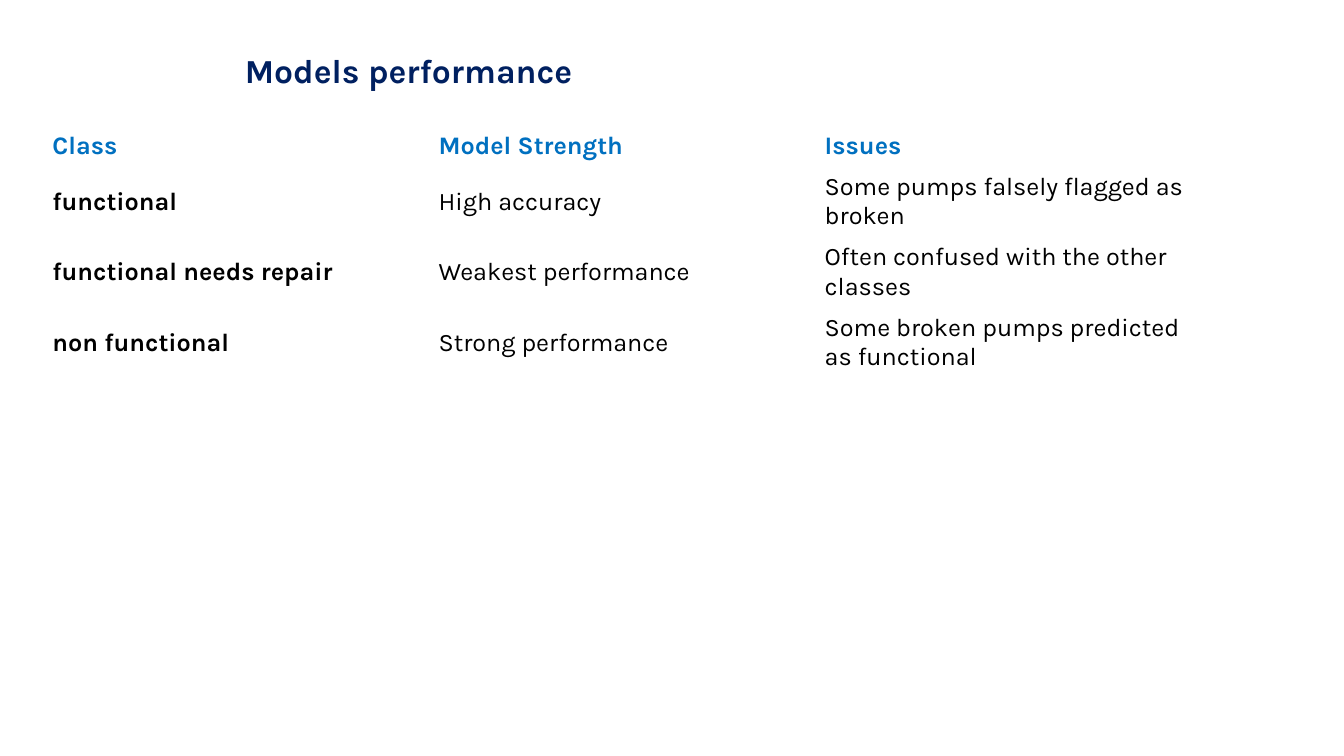
from pptx import Presentation, util as u
from pptx.dml.color import RGBColor
from pptx.enum import text
from pptx.oxml.ns import qn

NO_STYLE_NO_GRID = "{2D5ABB26-0587-4C30-8999-92F81FD0307C}"
ROWS = [
    ("Class", "Model Strength", "Issues"),
    ("functional", "High accuracy", "Some pumps falsely flagged as broken"),
    ("functional needs repair", "Weakest performance",
     "Often confused with the other classes"),
    ("non functional", "Strong performance",
     "Some broken pumps predicted as functional"),
]


def px(n):
    return u.Emu(n * 9144)


def rgb(color):
    return RGBColor.from_string(color)


def write(tf, s, size=18, color="000000", bold=False, font="Karla"):
    tf.word_wrap = True
    r = tf.paragraphs[0].add_run()
    r.text = s
    r.font.name, r.font.size, r.font.bold = font, u.Pt(size), bold
    r.font.color.rgb = rgb(color)


class Deck:
    """Holds the slide style and adds elements to the current slide."""
    title_color = "002060"
    header_color = "0070C0"
    body_color = "000000"

    def __init__(self, width, height):
        self.prs = Presentation()
        self.prs.slide_width, self.prs.slide_height = px(width), px(height)
        self.s = self.prs.slides.add_slide(self.prs.slide_layouts[6])

    def title(self, s, x, y, w, h):
        sp = self.s.shapes.add_textbox(px(x), px(y), px(w), px(h))
        write(sp.text_frame, s, size=24, color=self.title_color, bold=True)
        sp.text_frame.auto_size = text.MSO_AUTO_SIZE.SHAPE_TO_FIT_TEXT

    def table(self, rows, x, y, col_width, heights):
        cols = len(rows[0])
        tbl = self.s.shapes.add_table(
            len(rows), cols, px(x), px(y),
            px(col_width * cols), px(sum(heights))).table
        tbl.first_row = tbl.horz_banding = False
        tbl._tbl.tblPr.find(qn("a:tableStyleId")).text = NO_STYLE_NO_GRID
        for col in tbl.columns:
            col.width = px(col_width)
        for i, (row, height) in enumerate(zip(rows, heights)):
            tbl.rows[i].height = px(height)
            for j, s in enumerate(row):
                cell = tbl.cell(i, j)
                cell.fill.background()
                cell.vertical_anchor = text.MSO_ANCHOR.MIDDLE
                write(cell.text_frame, s, bold=i == 0 or j == 0,
                      color=self.header_color if i == 0 else self.body_color)


def main():
    deck = Deck(1333, 750)
    deck.table(ROWS, 42, 125, 383, [40, 70, 70, 70])
    deck.title("Models performance", 233, 45, 570, 50)
    deck.prs.save("out.pptx")


if __name__ == "__main__":
    main()
